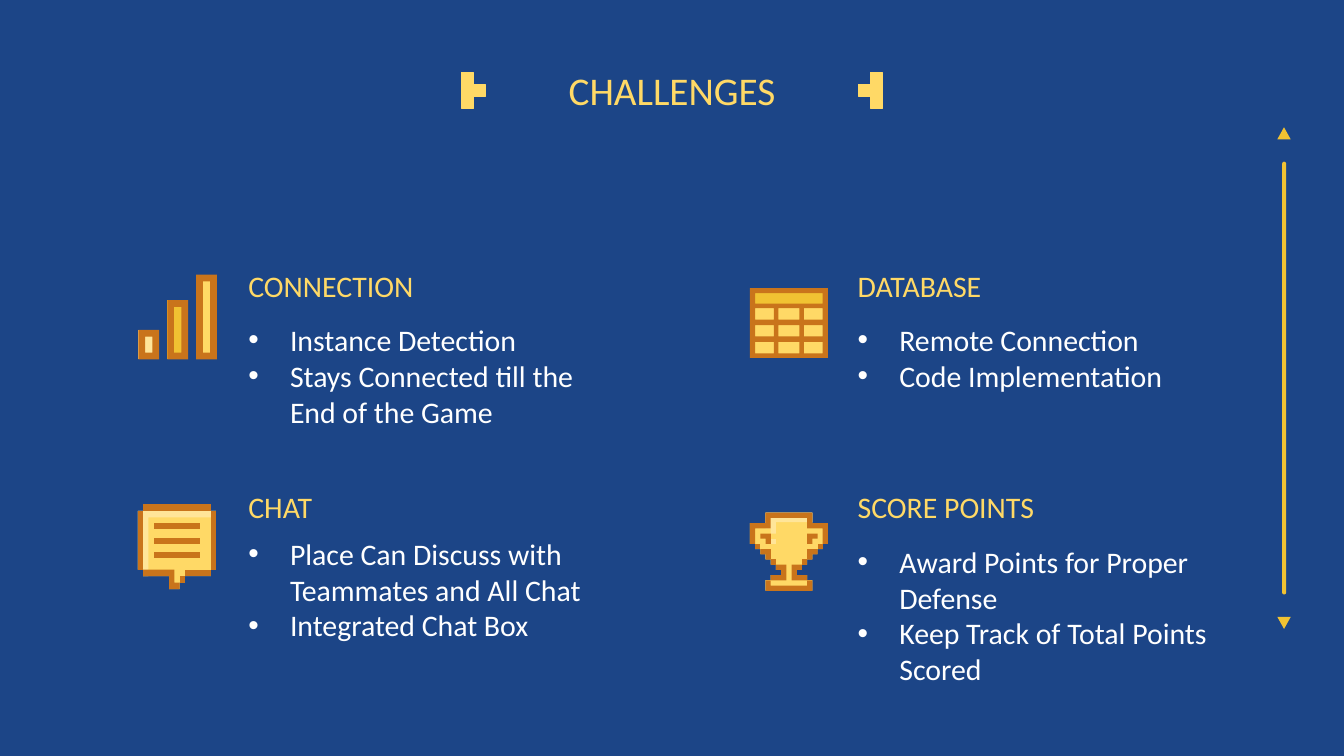
"""Build the Challenges slide: four topics with pixel icons on a fine grid."""
from dataclasses import dataclass

from lxml import etree
from pptx import Presentation
from pptx.dml.color import RGBColor
from pptx.enum.shapes import MSO_SHAPE
from pptx.enum.text import MSO_ANCHOR, PP_ALIGN
from pptx.oxml.ns import qn
from pptx.util import Emu, Inches, Pt

TOP, BOTTOM = MSO_ANCHOR.TOP, MSO_ANCHOR.BOTTOM
LEFT, CENTER = PP_ALIGN.LEFT, PP_ALIGN.CENTER
ROUNDED, TRIANGLE = MSO_SHAPE.ROUNDED_RECTANGLE, MSO_SHAPE.ISOSCELES_TRIANGLE
COLUMNS, ROWS = 1000, 562.5
CELL = Inches(0.01)
COLORS = {
    "background": "1C4587", "text": "FFFFFF", "yellow": "FFD966",
    "light": "FFE599", "gold": "F1C232", "brown": "C9741B",
}
MARGINS = {f"margin_{side}": Inches(0.1) for side in ("left", "top", "right", "bottom")}
FONT, BULLET_FONT = "Calibri", "Arial"
TEXT_WIDTH, HEADING_HEIGHT, BODY_HEIGHT = 287, 43, 120

Steps = tuple[tuple[float, float], ...]


@dataclass(frozen=True)
class Frame:
    left: float
    top: float
    width: float
    height: float


@dataclass(frozen=True)
class Piece:
    color: str
    outlines: tuple[Steps, ...]


@dataclass(frozen=True)
class Icon:
    left: float
    top: float
    cell_width: float
    cell_height: float
    pieces: tuple[Piece, ...]
    line_width: float = 0


@dataclass(frozen=True)
class Topic:
    left: float
    top: float
    body_top: float
    heading: str
    bullets: tuple[str, ...]


@dataclass(frozen=True)
class Mark:
    kind: int
    frame: Frame
    rotation: float = 0


def box(left: float, top: float, right: float, bottom: float) -> Steps:
    """Return the steps around a rectangle."""
    return (left, bottom), (right, top)


def mirror(piece: Piece, columns: float) -> Piece:
    """Return the piece flipped left to right."""
    return Piece(piece.color, tuple(
        tuple((columns - column, row) for column, row in steps) for steps in piece.outlines))


def bar_pieces() -> tuple[Piece, ...]:
    """Return three rising bars with their frames."""
    pieces = []
    for number, (color, height) in enumerate((("light", 4.4), ("gold", 8.8), ("yellow", 12.6))):
        left, top = 4.3 * number, 12.6 - height
        outer = box(left, top, left + 3.1, 12.6)
        inner = box(left + 1, top + 1, left + 2.1, 11.6)
        pieces += [Piece(color, (outer,)), Piece("brown", (inner, outer))]
    return tuple(pieces)


def table_pieces() -> tuple[Piece, ...]:
    """Return a small table with a header and nine cells."""
    outer = box(0, 0, 15, 14)
    cells = tuple(box(left, top, right, top + 2.3) for top in (4, 7.4, 10.8)
                  for left, right in ((1, 4.6), (5.5, 9.5), (10.4, 14)))
    return (Piece("yellow", (outer,)), Piece("gold", (box(0, 0, 15, 4),)),
            Piece("brown", (box(1, 1, 14, 3.1), *cells, outer)))


def chat_pieces() -> tuple[Piece, ...]:
    """Return a speech bubble with three lines."""
    brown = [box(8, 11, 9, 12), box(0, 1, 1, 10), box(14, 1, 15, 10),
             ((1, 11), (6, 13), (8, 12), (7, 10)), box(1, 0, 14, 1), box(9, 10, 14, 11)]
    brown += [box(3, top, 12, top + 0.9) for top in (2.9, 5.1, 7.3)]
    body = ((1, 1), (0, 10), (1, 11), (6, 13), (8, 12), (9, 11), (14, 10), (15, 1), (14, 0))
    shine = ((1, 1), (0, 10), (1, 11), (2, 2), (15, 1), (14, 0))
    return (Piece("yellow", (body,)), Piece("light", (shine,)),
            *(Piece("brown", (steps,)) for steps in brown))


def trophy_pieces() -> tuple[Piece, ...]:
    """Return a trophy whose shaded details are mirrored."""
    body = ((3, 2), (0, 6), (1, 7), (2, 8), (3, 9), (4, 10), (5, 11), (6, 12), (4, 13), (3, 15),
            (12, 13), (11, 12), (9, 11), (10, 10), (11, 9), (12, 8), (13, 7), (14, 6),
            (15, 2), (12, 0))
    shine = ((3, 3), (4, 4), (5, 1.8), (12, 0))
    details = (box(4, 9, 5, 10), ((5, 11), (6, 12), (4, 13), (7, 10)), box(1, 6, 2, 7),
               ((2, 8), (3, 9), (4, 7)), ((2, 5), (3, 6), (4, 4)))
    base = ((3, 15), (12, 13), (11, 14), (4, 13))
    rim = ((3, 2), (0, 6), (1, 3), (4, 1), (11, 3), (14, 6), (15, 2), (12, 0))
    half = tuple(Piece("brown", (steps,)) for steps in details)
    return (Piece("yellow", (body,)), Piece("light", (shine,)),
            Piece("light", (box(3, 5, 5, 6),)), *half, *(mirror(piece, 15) for piece in half),
            Piece("brown", (base,)), Piece("brown", (rim,)))


BRACKET = tuple(Piece("yellow", (box(column, row, column + 1, row + 1),))
                for column, row in ((0, 2), (0, 1), (0, 0), (1, 1)))
ICONS = (
    Icon(103, 204.4, 5, 5, bar_pieces()),
    Icon(558, 381.5, 3.87, 3.87, trophy_pieces()),
    Icon(343.4, 54, 8.9, 8.9, BRACKET, 0.75),
    Icon(639, 54, 8.9, 8.9, tuple(mirror(piece, 2) for piece in BRACKET), 0.75),
    Icon(558, 214.4, 3.87, 3.71, table_pieces()),
    Icon(102.7, 375.3, 3.87, 4.85, chat_pieces()),
)
TOPICS = (
    Topic(175, 193, 229.4, "CONNECTION",
          ("Instance Detection", "Stays Connected till the End of the Game")),
    Topic(628.4, 193, 229.4, "DATABASE", ("Remote Connection", "Code Implementation")),
    Topic(175, 357.6, 388.4, "CHAT",
          ("Place Can Discuss with Teammates and All Chat", "Integrated Chat Box")),
    Topic(628.4, 357.6, 394.4, "SCORE POINTS",
          ("Award Points for Proper Defense", "Keep Track of Total Points Scored")),
)
MARKS = (
    Mark(ROUNDED, Frame(954, 120.3, 3, 322)),
    Mark(TRIANGLE, Frame(950.4, 94.7, 10, 9)),
    Mark(TRIANGLE, Frame(950.4, 459, 10, 9), 180),
)


def place(frame: Frame) -> tuple[Emu, ...]:
    """Convert grid columns and rows to lengths."""
    return tuple(Emu(round(value * CELL))
                 for value in (frame.left, frame.top, frame.width, frame.height))


def paint(shape, color: str, line_width: float = 0) -> None:
    """Give a shape a flat fill and an optional line of the same colour."""
    shape.shadow.inherit = False
    shape.fill.solid()
    shape.fill.fore_color.rgb = RGBColor.from_string(COLORS[color])
    if line_width:
        shape.line.color.rgb = RGBColor.from_string(COLORS[color])
        shape.line.width = Pt(line_width)
    else:
        shape.line.fill.background()


def add_bullet(paragraph) -> None:
    """Hang the paragraph on a white bullet."""
    properties = paragraph._p.get_or_add_pPr()
    for name, value in {"marL": Inches(0.31), "indent": -Inches(0.31)}.items():
        properties.set(name, str(value))
    color = etree.SubElement(properties, qn("a:buClr"))
    etree.SubElement(color, qn("a:srgbClr"), val=COLORS["text"])
    etree.SubElement(properties, qn("a:buFont"), typeface=BULLET_FONT)
    etree.SubElement(properties, qn("a:buChar"), char="•")


def add_text(slide, frame: Frame, lines: tuple[str, ...], color: str, size: float = 16,
             anchor: int = BOTTOM, alignment: int = LEFT, bulleted: bool = False) -> None:
    """Add a text box with one paragraph for each line."""
    text_frame = slide.shapes.add_textbox(*place(frame)).text_frame
    for name, value in {**MARGINS, "word_wrap": True, "vertical_anchor": anchor}.items():
        setattr(text_frame, name, value)
    for number, line in enumerate(lines):
        paragraph = text_frame.add_paragraph() if number else text_frame.paragraphs[0]
        paragraph.alignment = alignment
        if bulleted:
            add_bullet(paragraph)
        run = paragraph.add_run()
        run.text = line
        for name, value in {"name": FONT, "size": Pt(size)}.items():
            setattr(run.font, name, value)
        run.font.color.rgb = RGBColor.from_string(COLORS[color])


def add_icon(slide, icon: Icon) -> None:
    """Draw the icon's stepped outlines in one group."""
    group = slide.shapes.add_group_shape()
    for piece in icon.pieces:
        builder = None
        for steps in piece.outlines:
            rows = [row for _, row in steps]
            corners = [corner for (column, row), previous in zip(steps, rows[-1:] + rows)
                       for corner in ((column, previous), (column, row))]
            points = [(round((icon.left + column * icon.cell_width) * CELL),
                       round((icon.top + row * icon.cell_height) * CELL))
                      for column, row in corners]
            if builder is None:
                builder = group.shapes.build_freeform(*points[0])
            else:
                builder.move_to(*points[0])
            builder.add_line_segments(points[1:], close=True)
        paint(builder.convert_to_shape(), piece.color, icon.line_width)


def add_mark(slide, mark: Mark) -> None:
    """Draw one part of the scroll bar."""
    shape = slide.shapes.add_shape(mark.kind, *place(mark.frame))
    shape.adjustments[0] = 0.5
    shape.rotation = mark.rotation
    paint(shape, "gold")


def main() -> None:
    """Build and save the presentation."""
    presentation = Presentation()
    presentation.slide_width, presentation.slide_height = COLUMNS * CELL, round(ROWS * CELL)
    slide = presentation.slides.add_slide(presentation.slide_layouts[6])
    slide.background.fill.solid()
    slide.background.fill.fore_color.rgb = RGBColor.from_string(COLORS["background"])
    add_text(slide, Frame(34, 31.6, 932, 63), ("CHALLENGES",), "yellow", 21, alignment=CENTER)
    for topic in TOPICS:
        add_text(slide, Frame(topic.left, topic.top, TEXT_WIDTH, HEADING_HEIGHT),
                 (topic.heading,), "yellow")
        add_text(slide, Frame(topic.left, topic.body_top, TEXT_WIDTH, BODY_HEIGHT),
                 topic.bullets, "text", anchor=TOP, bulleted=True)
    for icon in ICONS:
        add_icon(slide, icon)
    for mark in MARKS:
        add_mark(slide, mark)
    presentation.save("out.pptx")


if __name__ == "__main__":
    main()
